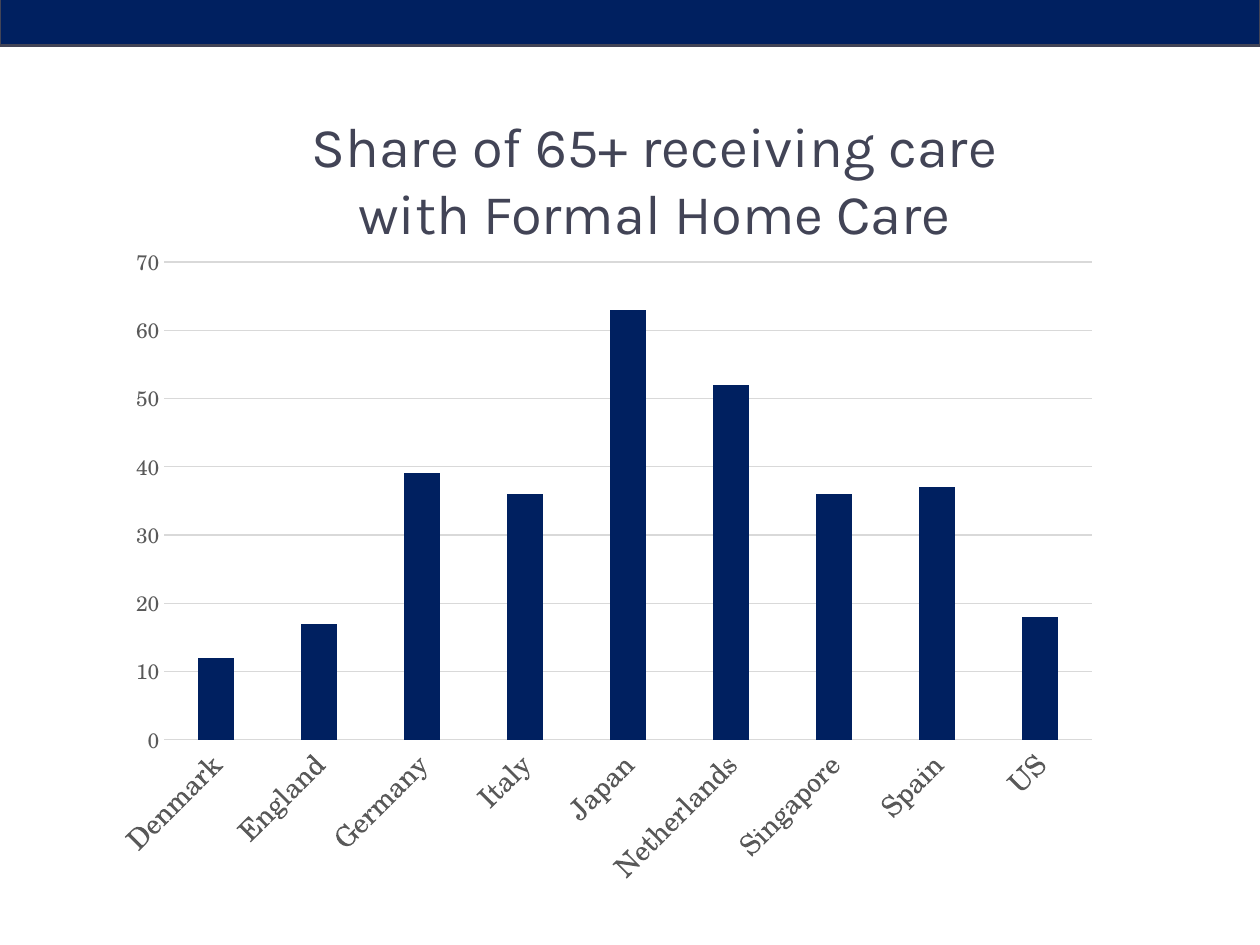
from copy import deepcopy
from dataclasses import dataclass

from lxml.etree import SubElement
from pptx import Presentation
from pptx.chart.data import CategoryChartData as Data
from pptx.dml.color import RGBColor as Rgb
from pptx.enum.chart import XL_CHART_TYPE as Chart, XL_TICK_MARK as Tick
from pptx.enum.shapes import MSO_SHAPE as Shape
from pptx.enum.text import MSO_ANCHOR as Anchor, MSO_AUTO_SIZE as Fit, PP_ALIGN as Align
from pptx.oxml.ns import qn
from pptx.util import Inches, Pt


@dataclass(frozen=True)
class Theme:
    """Colours, fonts and type sizes of the slide."""
    navy: str = "002060"
    slate: str = "424456"
    label: str = "595959"
    grid: str = "D9D9D9"
    head: str = "Karla"
    body: str = "TeX Gyre Schola"
    title: int = 32
    cat: int = 16
    val: int = 12


THEME = Theme()
SHARES = {
    "Denmark": 12, "England": 17, "Germany": 39, "Italy": 36, "Japan": 63,
    "Netherlands": 52, "Singapore": 36, "Spain": 37, "US": 18,
}


def style(font, face, size, color):
    """Set the face, size and colour of a font."""
    font.name, font.size = face, Pt(size)
    font.color.rgb = Rgb.from_string(color)


def paint(line, color, width):
    """Give a line a solid colour and a width."""
    line.color.rgb = Rgb.from_string(color)
    line.width = Pt(width)


def write(frame, text, *, face, size, color, align=Align.CENTER, anchor=Anchor.MIDDLE):
    """Fill a text frame with one formatted paragraph."""
    frame.word_wrap, frame.auto_size = True, Fit.NONE
    frame.vertical_anchor = anchor
    para = frame.paragraphs[0]
    para.text, para.alignment = text, align
    for run in para.runs:
        style(run.font, face, size, color)
    for gap in para._p.findall(qn("a:br")):
        gap.insert(0, deepcopy(para.runs[0]._r.rPr))


def add_title(slide, text, box):
    """Place and fill the title placeholder."""
    title = slide.shapes.title
    title.left, title.top, title.width, title.height = map(Inches, box)
    write(title.text_frame, text, face=THEME.head, size=THEME.title, color=THEME.slate)


def add_band(slide, box):
    """Draw the outlined band at the top."""
    band = slide.shapes.add_shape(Shape.RECTANGLE, *map(Inches, box))
    band.shadow.inherit = False
    band.fill.solid()
    band.fill.fore_color.rgb = Rgb.from_string(THEME.navy)
    paint(band.line, THEME.slate, 1.5)


def set_plot(chart, box):
    """Fix the inner plot area as fractions of the chart."""
    area = chart._chartSpace.chart.plotArea
    for old in area.findall(qn("c:layout")):
        area.remove(old)
    layout = SubElement(area, qn("c:layout"))
    area.insert(0, layout)
    manual = SubElement(layout, qn("c:manualLayout"))
    pairs = [("layoutTarget", "inner"), ("xMode", "edge"), ("yMode", "edge")]
    for tag, val in pairs + list(zip("xywh", box)):
        SubElement(manual, qn(f"c:{tag}")).set("val", str(val))


def set_axis(axis, size):
    """Format the labels and ticks of an axis."""
    axis.major_tick_mark = axis.minor_tick_mark = Tick.NONE
    style(axis.tick_labels.font, THEME.body, size, THEME.label)


def add_columns(slide, shares, box):
    """Add the column chart of shares by country."""
    data = Data()
    data.categories = list(shares)
    data.add_series("Series 1", list(shares.values()))
    chart = slide.shapes.add_chart(Chart.COLUMN_CLUSTERED, *map(Inches, box), data).chart
    chart.has_legend = chart.has_title = False
    style(chart.font, THEME.body, 10, "000000")
    plot = chart.plots[0]
    plot.gap_width, plot.vary_by_categories = 182, False
    fill = plot.series[0].format.fill
    fill.solid()
    fill.fore_color.rgb = Rgb.from_string(THEME.navy)

    cat, val = chart.category_axis, chart.value_axis
    set_axis(cat, THEME.cat)
    paint(cat.format.line, THEME.grid, 0.75)
    cat._element.find(qn("c:txPr")).find(qn("a:bodyPr")).set("rot", "-2700000")
    set_axis(val, THEME.val)
    val.format.line.fill.background()
    val.minimum_scale, val.maximum_scale, val.major_unit = 0, 70, 10
    paint(val.major_gridlines.format.line, THEME.grid, 0.75)
    set_plot(chart, (0.07, 0.02, 0.93, 0.73))


def main():
    """Build and save the slide."""
    deck = Presentation()
    deck.slide_width, deck.slide_height = Inches(10), Inches(7.5)
    slide = deck.slides.add_slide(deck.slide_layouts[5])
    add_columns(slide, SHARES, (0.75, 1.96, 7.92, 5.21))
    add_title(slide, "Share of 65+ receiving care \nwith Formal Home Care ", (0.75, 0.83, 9, 1.17))
    add_band(slide, (0, -0.06, 10, 0.42))
    deck.save("out.pptx")


if __name__ == "__main__":
    main()
